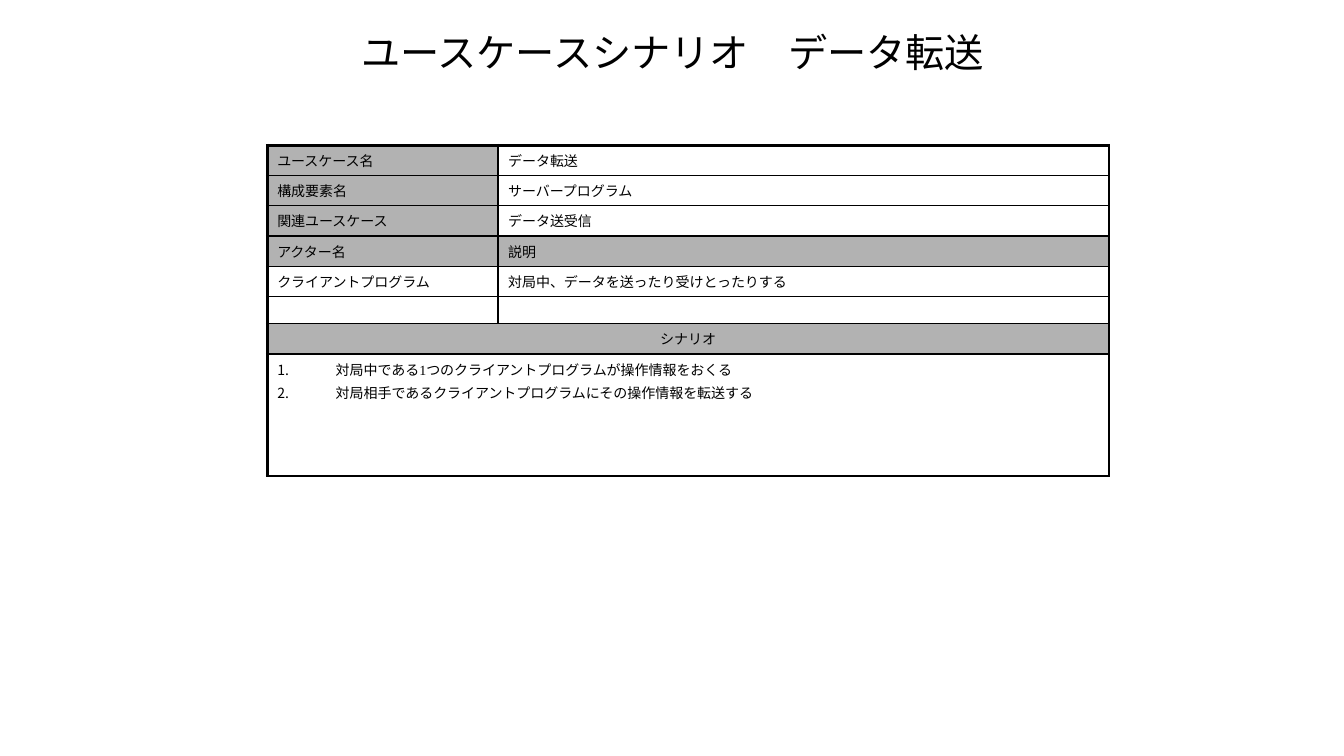
from lxml.etree import SubElement
from pptx import Presentation
from pptx.dml.color import RGBColor
from pptx.enum.text import MSO_ANCHOR as Anchor, PP_ALIGN as Align
from pptx.oxml.ns import qn
from pptx.util import Inches, Pt

BLACK = RGBColor(0x00, 0x00, 0x00)
WHITE = RGBColor(0xFF, 0xFF, 0xFF)
GRAY = RGBColor(0xB2, 0xB2, 0xB2)
THIN, THICK = Pt(1), Pt(2.25)


class Page:
    """Style and current slide; lengths are percent of the slide's size."""
    face = "Times New Roman"
    body, head = Pt(10), Pt(28)

    def __init__(self, deck):
        self.deck = deck
        self.slide = deck.slides.add_slide(deck.slide_layouts[6])

    def wide(self, share):
        return round(self.deck.slide_width * share / 100)

    def high(self, share):
        return round(self.deck.slide_height * share / 100)

    def words(self, frame, lines, size, align=Align.LEFT):
        frame.text = "\n".join(lines)
        for i, para in enumerate(frame.paragraphs):
            para.alignment = align
            para.font.name, para.font.size = self.face, size
            para.font.color.rgb = BLACK
            if i:
                para.space_before = Pt(size.pt * 0.2)
            if not para.runs:
                SubElement(para._p, qn("a:endParaRPr"), sz=str(size.centipoints))

    def title(self, text, left, top, width, height):
        box = self.slide.shapes.add_textbox(
            self.wide(left), self.high(top), self.wide(width), self.high(height))
        frame = box.text_frame
        frame.word_wrap = True
        frame.vertical_anchor = Anchor.MIDDLE
        self.words(frame, [text], self.head, Align.CENTER)

    def table(self, left, top, cols, rows):
        shape = self.slide.shapes.add_table(
            len(rows), len(cols), self.wide(left), self.high(top),
            self.wide(sum(cols)), self.high(sum(rows)))
        grid = shape.table
        grid.first_row = grid.horz_banding = False
        for col, share in zip(grid.columns, cols):
            col.width = self.wide(share)
        for row, share in zip(grid.rows, rows):
            row.height = self.high(share)
        return grid

    def cell(self, cell, lines, fill, align=Align.LEFT):
        self.words(cell.text_frame, lines, self.body, align)
        cell.fill.solid()
        cell.fill.fore_color.rgb = fill

    def border(self, cell, sides):
        props = cell._tc.get_or_add_tcPr()
        for i, (side, width) in enumerate(sides.items()):
            line = SubElement(props, qn(f"a:ln{side}"), w=str(width))
            paint = SubElement(line, qn("a:solidFill"))
            SubElement(paint, qn("a:srgbClr"), val=str(BLACK))
            props.remove(line)
            props.insert(i, line)

    def frame(self, grid):
        last, end = len(grid.rows) - 1, len(grid.columns) - 1
        for r in range(last + 1):
            for c in range(end + 1):
                edges = {"L": c == 0, "R": c == end, "T": r == 0, "B": r == last}
                cell = grid.cell(r, c)
                if cell.is_merge_origin:
                    edges["R"] = True
                self.border(cell, {s: THICK if e else THIN for s, e in edges.items()})

    def number(self, para, indent):
        props = para._p.get_or_add_pPr()
        props.set("marL", str(indent))
        props.set("indent", str(-indent))
        mark = SubElement(props, qn("a:buAutoNum"), type="arabicPeriod")
        props.remove(mark)
        props.find(qn("a:defRPr")).addprevious(mark)


deck = Presentation()
deck.slide_width, deck.slide_height = Inches(13.33), Inches(7.5)
page = Page(deck)

# Use case facts: label, value and their fills
FACTS = [
    ("ユースケース名", "データ転送", GRAY, WHITE),
    ("構成要素名", "サーバープログラム", GRAY, WHITE),
    ("関連ユースケース", "データ送受信", GRAY, WHITE),
    ("アクター名", "説明", GRAY, GRAY),
    ("クライアントプログラム", "対局中、データを送ったり受けとったりする", WHITE, WHITE),
    ("", "", WHITE, WHITE),
]
STEPS = [
    "対局中である1つのクライアントプログラムが操作情報をおくる",
    "対局相手であるクライアントプログラムにその操作情報を転送する",
]
grid = page.table(19.88, 19.2, [17.18, 45.46], [4] * 5 + [3.6, 4, 16.13])
for r, (label, value, *fills) in enumerate(FACTS):
    for c, text in enumerate((label, value)):
        page.cell(grid.cell(r, c), [text], fills[c])

# Scenario: heading and numbered steps across both columns
top = len(FACTS)
for r in (top, top + 1):
    grid.cell(r, 0).merge(grid.cell(r, 1))
page.cell(grid.cell(top, 0), ["シナリオ"], GRAY, Align.CENTER)
flow = grid.cell(top + 1, 0)
page.cell(flow, STEPS, WHITE)
for para in flow.text_frame.paragraphs:
    page.number(para, page.wide(4.35))
page.frame(grid)

# Title
page.title("ユースケースシナリオ　データ転送", 18.15, 3.6, 63.77, 6.4)

deck.save("out.pptx")
